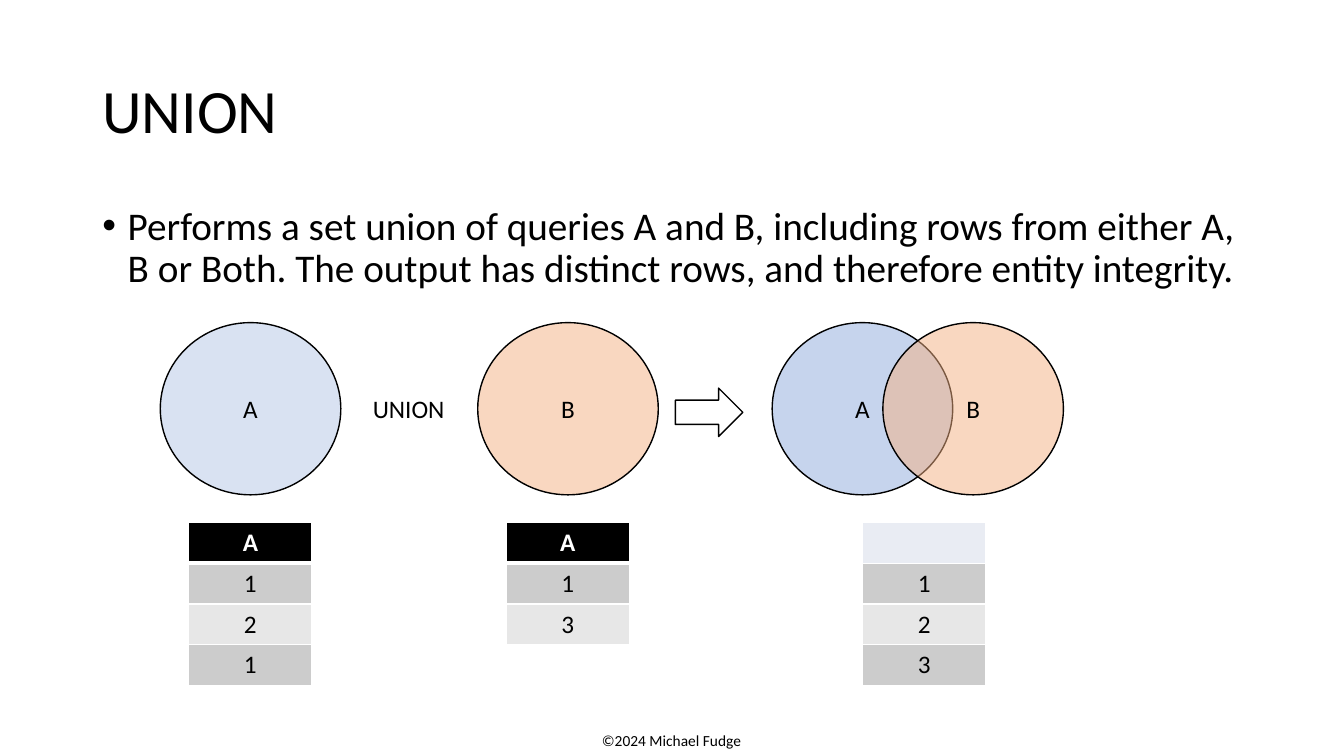
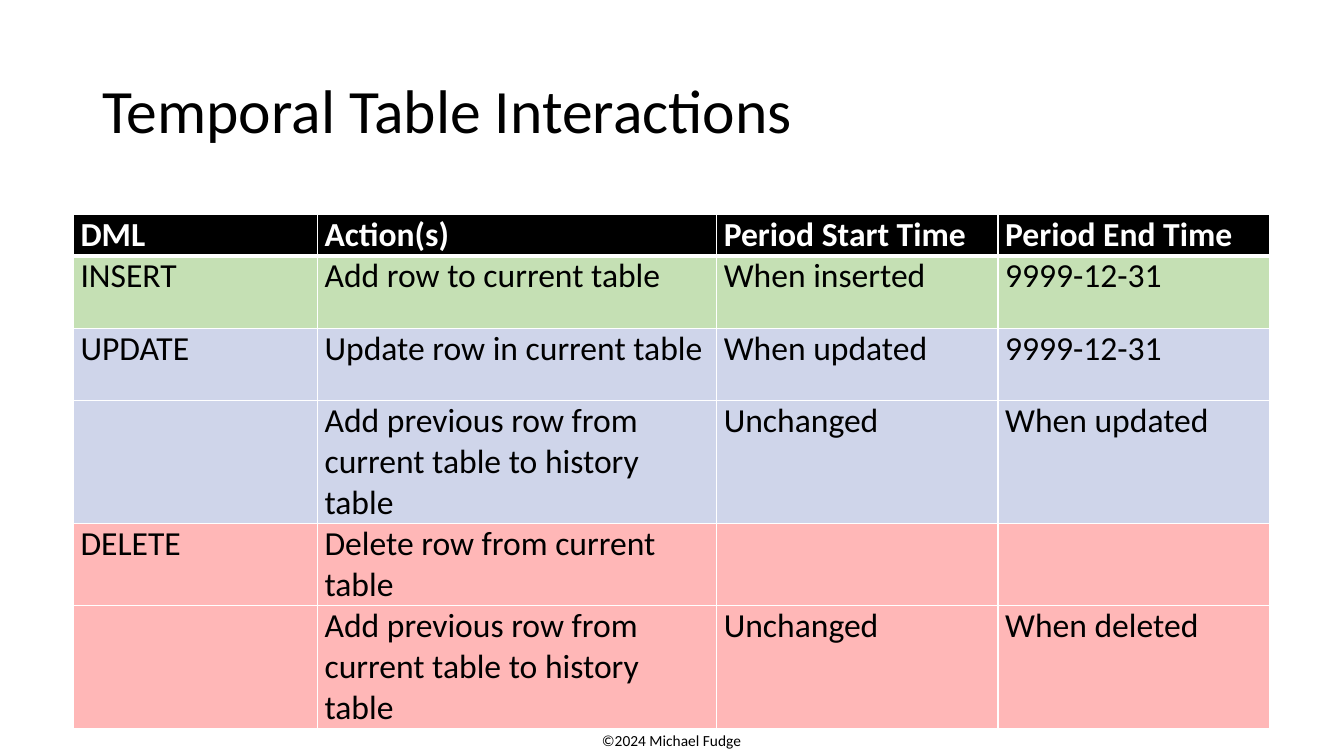
from dataclasses import dataclass

from lxml.etree import SubElement
from pptx import Presentation
from pptx.dml.color import RGBColor
from pptx.enum.shapes import MSO_SHAPE
from pptx.enum.text import MSO_ANCHOR, PP_ALIGN
from pptx.oxml.ns import qn
from pptx.util import Cm, Pt


@dataclass(frozen=True)
class Theme:
    font: str = "Calibri"
    ink: str = "000000"
    paper: str = "FFFFFF"
    pale_blue: str = "B4C7E7"
    blue: str = "8FAADC"
    orange: str = "F4B183"
    bands: tuple = ("CCCCCC", "E7E7E7")
    insert: str = "C5E0B4"
    update: str = "CFD5EA"
    delete: str = "FFB7B7"
    title_size: int = 44
    body_size: int = 28
    grid_size: int = 24
    label_size: int = 18
    footer_size: int = 11


@dataclass(frozen=True)
class Box:
    left: float
    top: float
    width: float
    height: float

    def inner(self, left, top, width, height):
        return Box(self.left + left, self.top + top, width, height)

    def lengths(self):
        return Cm(self.left), Cm(self.top), Cm(self.width), Cm(self.height)


THEME = Theme()
SLIDE = Box(0, 0, 33.87, 19.05)
TITLE = Box(2.33, 1.02, 29.21, 3.68)
BODY = Box(2.33, 5.08, 29.21, 3.68)
FOOTER = Box(14.4, 18.31, 5.05, 0.74)
DIAGRAM = Box(4.04, 8.13, 22.76, 9.15)
GRID = Box(1.85, 5.41, 30.15, 12.93)
CIRCLE_WIDTH, CIRCLE_HEIGHT = 4.55, 4.34
LIST_WIDTH, LIST_TOP, LIST_ROW = 3.1, 5.03, 1.03


def write(frame, text, size=THEME.label_size, color=THEME.ink, bold=False,
          align=PP_ALIGN.LEFT, anchor=MSO_ANCHOR.TOP, spacing=1.0, bullet=False):
    frame.word_wrap = True
    frame.vertical_anchor = anchor
    para = frame.paragraphs[0]
    para.alignment = align
    para.line_spacing = spacing
    para.font.size = Pt(size)
    if bullet:
        para.space_before = Pt(10)
        properties = para._p.get_or_add_pPr()
        properties.set("marL", str(Cm(0.64)))
        properties.set("indent", str(-Cm(0.64)))
        mark_font = SubElement(properties, qn("a:buFont"))
        mark_font.set("typeface", "Arial")
        SubElement(properties, qn("a:buChar")).set("char", "•")
    if text:
        span = para.add_run()
        span.text = text
        span.font.name = THEME.font
        span.font.size = Pt(size)
        span.font.bold = bold
        span.font.color.rgb = RGBColor.from_string(color)


def add_text(page, box, text, **style):
    write(page.shapes.add_textbox(*box.lengths()).text_frame, text, **style)


def add_outlined(page, preset, box, fill=None, text=""):
    shape = page.shapes.add_shape(preset, *box.lengths())
    shape.shadow.inherit = False
    shape.line.color.rgb = RGBColor.from_string(THEME.ink)
    shape.line.width = Pt(1)
    if fill:
        shape.fill.solid()
        shape.fill.fore_color.rgb = RGBColor.from_string(fill)
        color = shape.element.spPr.find(f"{qn('a:solidFill')}/{qn('a:srgbClr')}")
        SubElement(color, qn("a:alpha")).set("val", "50000")
    else:
        shape.fill.background()
    write(shape.text_frame, text, align=PP_ALIGN.CENTER, anchor=MSO_ANCHOR.MIDDLE)


def add_borders(cell, bottom):
    properties = cell._tc.get_or_add_tcPr()
    widths = {"a:lnL": 1, "a:lnR": 1, "a:lnT": 1, "a:lnB": bottom}
    for position, (tag, width) in enumerate(widths.items()):
        border = SubElement(properties, qn(tag))
        border.set("w", str(Pt(width)))
        paint = SubElement(border, qn("a:solidFill"))
        SubElement(paint, qn("a:srgbClr")).set("val", THEME.paper)
        properties.insert(position, border)


def add_grid(page, box, rows, fills, column_widths, row_heights, inset=None, **style):
    frame = page.shapes.add_table(len(rows), len(column_widths), *box.lengths())
    table = frame.table
    table.first_row = table.horz_banding = False
    for column, width in zip(table.columns, column_widths):
        column.width = Cm(width)
    for index, (row, height) in enumerate(zip(table.rows, row_heights)):
        row.height = Cm(height)
        header = index == 0
        for cell, text in zip(row.cells, rows[index]):
            cell.fill.solid()
            cell.fill.fore_color.rgb = RGBColor.from_string(fills[index])
            if inset is not None:
                cell.margin_left = cell.margin_right = Cm(inset)
                cell.margin_top = cell.margin_bottom = 0
            add_borders(cell, 3 if header else 1)
            write(cell.text_frame, text, bold=header,
                  color=THEME.paper if header else THEME.ink, **style)


def add_page(deck, title):
    page = deck.slides.add_slide(deck.slide_layouts[6])
    add_text(page, FOOTER, "©2024 Michael Fudge",
             size=THEME.footer_size, align=PP_ALIGN.CENTER)
    add_text(page, TITLE, title, size=THEME.title_size,
             anchor=MSO_ANCHOR.MIDDLE, spacing=0.9)
    return page


def add_union_diagram(page, box):
    circles = [
        (15.42, THEME.blue, "A"),
        (18.21, THEME.orange, "B"),
        (0, THEME.pale_blue, "A"),
        (8, THEME.orange, "B"),
    ]
    for left, fill, name in circles:
        add_outlined(page, MSO_SHAPE.OVAL,
                     box.inner(left, 0, CIRCLE_WIDTH, CIRCLE_HEIGHT), fill, name)
    add_text(page, box.inner(4.52, 1.65, 3.48, 1.02), "UNION", align=PP_ALIGN.CENTER)
    add_outlined(page, MSO_SHAPE.RIGHT_ARROW, box.inner(12.98, 1.65, 1.7, 1.22))

    lists = [(0.72, "A", "121"), (8.72, "A", "13"), (17.7, "", "123")]
    for left, header, values in lists:
        rows = [header, *values]
        fills = [THEME.ink] + [THEME.bands[i % 2] for i in range(len(values))]
        add_grid(page, box.inner(left, LIST_TOP, LIST_WIDTH, LIST_ROW * len(rows)),
                 rows, fills, [LIST_WIDTH], [LIST_ROW] * len(rows),
                 align=PP_ALIGN.CENTER)


def build_union(deck):
    page = add_page(deck, "UNION")
    add_text(page, BODY,
             "Performs a set union of queries A and B, including rows from either A, "
             "B or Both. The output has distinct rows, and therefore entity integrity.",
             size=THEME.body_size, spacing=0.9, bullet=True)
    add_union_diagram(page, DIAGRAM)


def build_interactions(deck):
    page = add_page(deck, "Temporal Table Interactions")
    archive = "Add previous row from current table to history table"
    rows = [
        ("DML", "Action(s)", "Period Start Time", "Period End Time"),
        ("INSERT", "Add row to current table", "When inserted", "9999-12-31"),
        ("UPDATE", "Update row in current table", "When updated", "9999-12-31"),
        ("", archive, "Unchanged", "When updated"),
        ("DELETE", "Delete row from current table", "", ""),
        ("", archive, "Unchanged", "When deleted"),
    ]
    fills = [THEME.ink, THEME.insert, THEME.update, THEME.update,
             THEME.delete, THEME.delete]
    add_grid(page, GRID, rows, fills, [6.15, 10.06, 7.09, 6.85],
             [1.04, 1.82, 1.82, 3.1, 2.06, 3.1], inset=0.18, size=THEME.grid_size)


def main():
    deck = Presentation()
    deck.slide_width, deck.slide_height = Cm(SLIDE.width), Cm(SLIDE.height)
    build_union(deck)
    build_interactions(deck)
    deck.save("out.pptx")


if __name__ == "__main__":
    main()
